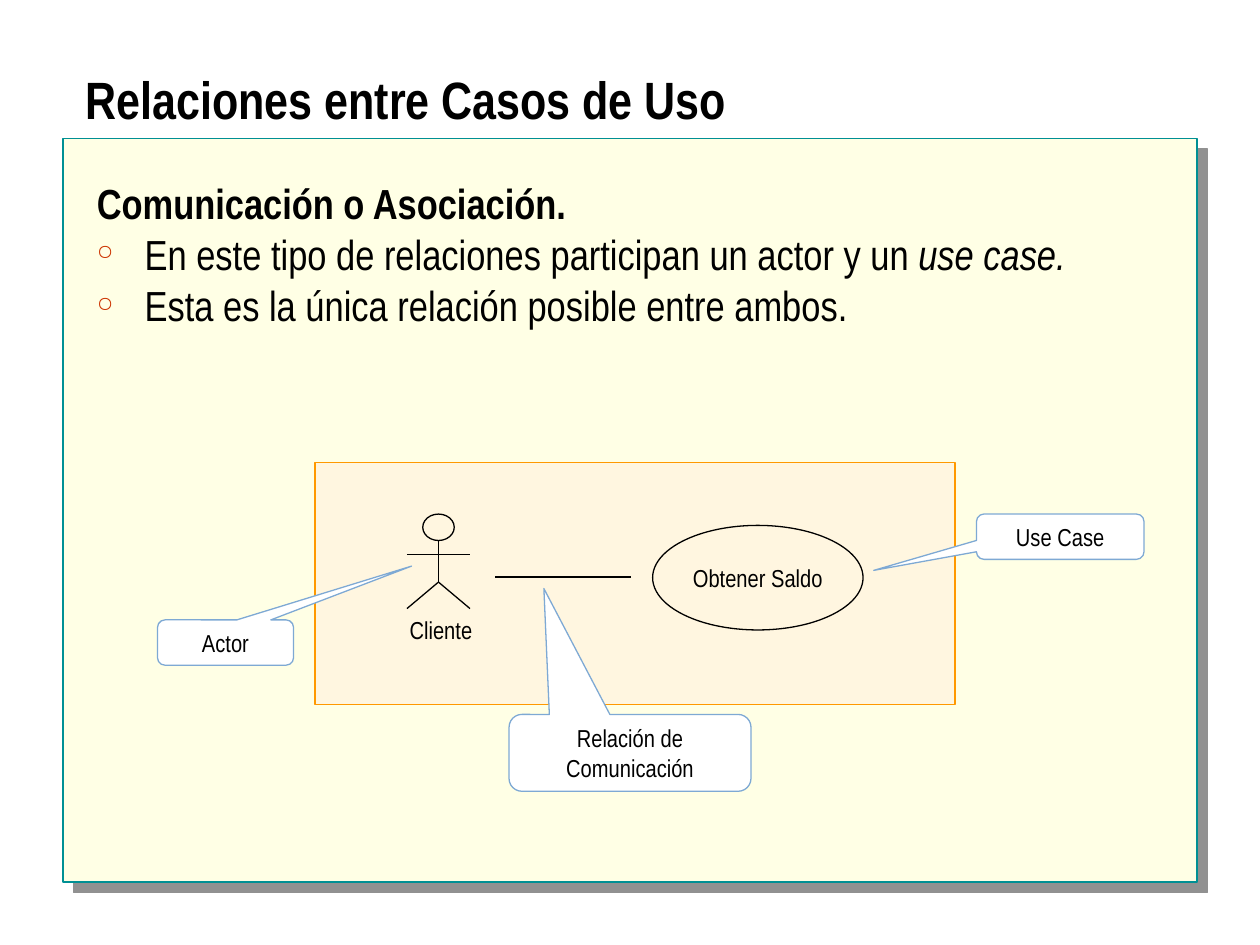
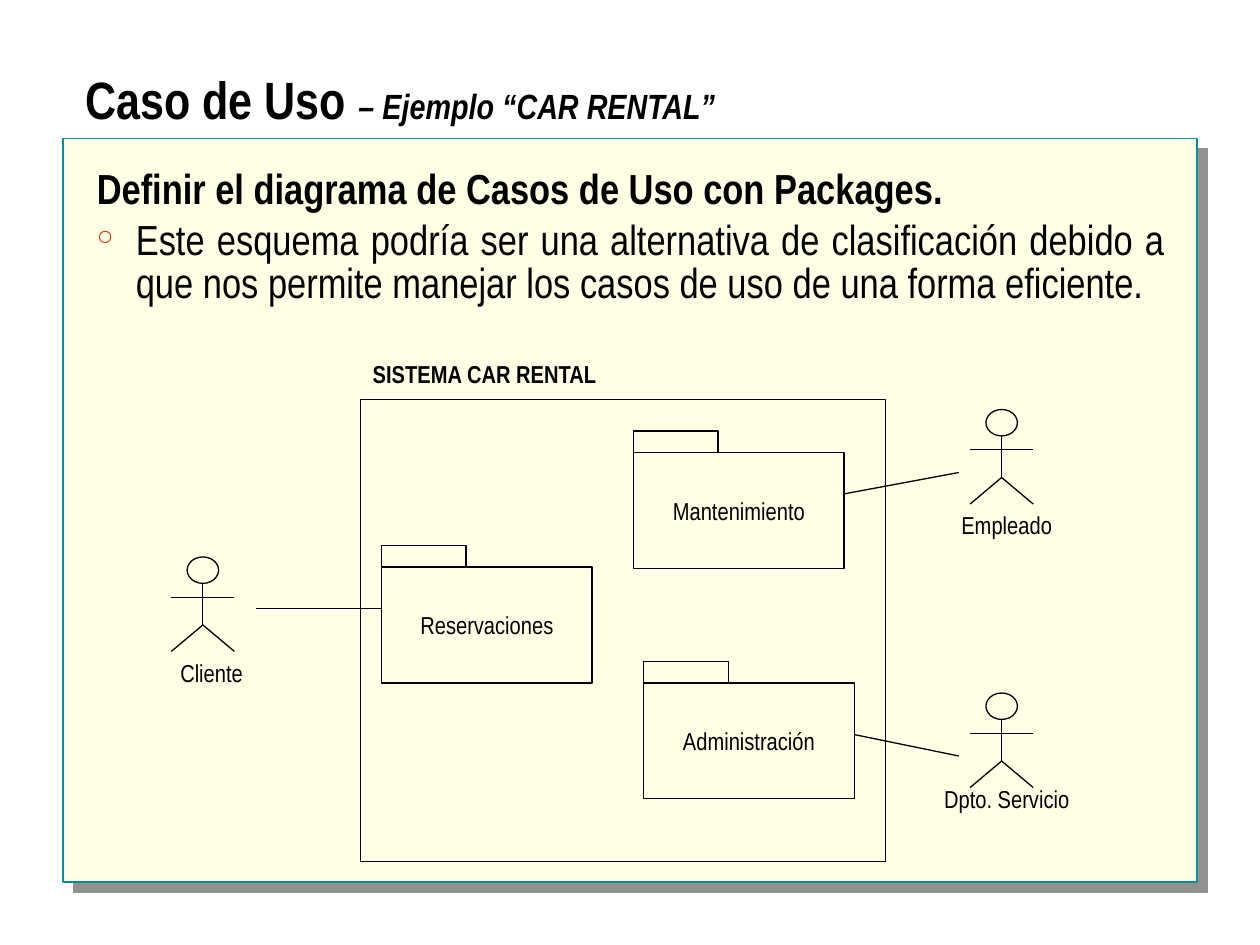
from dataclasses import dataclass

from lxml.etree import SubElement as Sub
from pptx import Presentation
from pptx.dml.color import RGBColor as RGB
from pptx.enum.shapes import MSO_CONNECTOR as CONN, MSO_SHAPE as SHAPE
from pptx.enum.text import MSO_ANCHOR as ANCHOR, MSO_AUTO_SIZE as AUTO, PP_ALIGN as ALIGN
from pptx.oxml.ns import qn
from pptx.util import Inches, Pt


@dataclass(frozen=True)
class Theme:
    font: str = "Arial Narrow"
    ink: str = "000000"
    panel: str = "FFFFE5"
    panel_line: str = "009094"
    shadow: str = "919191"
    bullet: str = "CC3300"
    scene: str = "FFEEDD"
    scene_line: str = "FF9900"
    callout: str = "FFFFFF"
    callout_line: str = "7EA9D4"
    title: int = 30
    subtitle: int = 20
    body: int = 24
    label: int = 14
    thin: float = 0.75


T = Theme()
TITLE_BOX = (0.58, 0.58, 8.83, 0.5)
PANEL_BOX = (0.5, 1.1, 9, 5.9)


def inches(*values):
    return [Inches(v) for v in values]


def apply(target, formats):
    for name, value in formats.items():
        setattr(target, name, value)


def add_run(p, text, size, **formats):
    r = p.add_run()
    r.text = text
    apply(r.font, {"name": T.font, "size": Pt(size), **formats})
    r.font.color.rgb = RGB.from_string(T.ink)


def write(tf, lines, align=ALIGN.CENTER, **formats):
    for i, line in enumerate(lines):
        p = tf.paragraphs[0] if i == 0 else tf.add_paragraph()
        p.alignment = align
        add_run(p, line, T.label, **formats)


def add_box(s, kind, box, fill=None, line=T.ink, width=T.thin):
    sp = s.shapes.add_shape(kind, *inches(*box))
    sp.shadow.inherit = False
    if fill:
        sp.fill.solid()
        sp.fill.fore_color.rgb = RGB.from_string(fill)
    else:
        sp.fill.background()
    sp.line.color.rgb = RGB.from_string(line)
    sp.line.width = Pt(width)
    return sp


def add_line(s, *ends):
    cn = s.shapes.add_connector(CONN.STRAIGHT, *inches(*ends))
    cn.line.color.rgb = RGB.from_string(T.ink)
    cn.line.width = Pt(T.thin)
    Sub(cn._element.spPr, qn("a:effectLst"))


def add_label(s, box, text, align=ALIGN.CENTER, **formats):
    tf = s.shapes.add_textbox(*inches(*box)).text_frame
    tf.word_wrap = False
    write(tf, [text], align, **formats)


def add_panel(s, box):
    sp = add_box(s, SHAPE.RECTANGLE, box, T.panel, T.panel_line, 1)
    effects = sp._element.spPr.find(qn("a:effectLst"))
    shadow = Sub(effects, qn("a:outerShdw"), blurRad="0", dist=str(Pt(8.5)),
                 dir="2700000", algn="ctr", rotWithShape="0")
    Sub(shadow, qn("a:srgbClr"), val=T.shadow)


def add_title(s, box, text, subtitle):
    sp = s.shapes.title
    apply(sp, dict(zip(("left", "top", "width", "height"), inches(*box))))
    tf = sp.text_frame
    apply(tf, {"vertical_anchor": ANCHOR.MIDDLE, "auto_size": AUTO.NONE, "word_wrap": True})
    p = tf.paragraphs[0]
    apply(p, {"alignment": ALIGN.LEFT, "line_spacing": 0.8})
    add_run(p, text, T.title, bold=True)
    if subtitle:
        add_run(p, subtitle, T.subtitle, bold=True, italic=True)


def add_bullet(pPr):
    Sub(Sub(pPr, qn("a:buClr")), qn("a:srgbClr"), val=T.bullet)
    Sub(pPr, qn("a:buSzPct"), val="50000")
    Sub(pPr, qn("a:buChar"), char="○")


def add_body(s, box, indent, heading, bullets):
    tf = s.shapes.add_textbox(*inches(*box)).text_frame
    tf.word_wrap = True
    for i, runs in enumerate([[(heading, {"bold": True})], *bullets]):
        p = tf.add_paragraph() if i else tf.paragraphs[0]
        apply(p, {"alignment": ALIGN.JUSTIFY, "line_spacing": 0.85, "space_after": Pt(4.8)})
        pPr = p._p.get_or_add_pPr()
        pPr.set("marL", str(Inches(indent)))
        pPr.set("indent", str(-Inches(indent)))
        if i:
            add_bullet(pPr)
        for text, formats in runs:
            add_run(p, text, T.body, **formats)


def add_actor(s, cx, y, name, label_width, label_dx=0.04, label_dy=0.75):
    arm, neck, hip, foot = 0.25, y + 0.21, y + 0.54, y + 0.75
    add_box(s, SHAPE.OVAL, (cx - arm / 2, y, arm, 0.21))
    add_line(s, cx, neck, cx, hip)
    add_line(s, cx - arm, y + 0.32, cx + arm, y + 0.32)
    for side in (-arm, arm):
        add_line(s, cx, hip, cx + side, foot)
    left = cx + label_dx - label_width / 2
    add_label(s, (left, y + label_dy, label_width, 0.33), name)


def add_node(s, kind, box, name):
    tf = add_box(s, kind, box).text_frame
    apply(tf, {"word_wrap": False, "vertical_anchor": ANCHOR.MIDDLE})
    write(tf, [name])


def add_package(s, x, y, name):
    tab = 0.17
    add_node(s, SHAPE.RECTANGLE, (x, y + tab, 1.67, 0.92), name)
    add_box(s, SHAPE.RECTANGLE, (x, y, 0.67, tab))


def add_callout(s, box, tip, lines):
    sp = add_box(s, SHAPE.ROUNDED_RECTANGULAR_CALLOUT, box, T.callout, T.callout_line)
    for i, value in enumerate((*tip, 0.167)):
        sp.adjustments[i] = value
    apply(sp.text_frame, {"word_wrap": True, "vertical_anchor": ANCHOR.MIDDLE})
    write(sp.text_frame, lines)


def add_communication(s, box):
    x, y, w, h = box
    scene = add_box(s, SHAPE.RECTANGLE, box, T.scene, T.scene_line)
    colour = scene._element.spPr.find(qn("a:solidFill")).find(qn("a:srgbClr"))
    Sub(colour, qn("a:alpha"), val="50000")
    add_node(s, SHAPE.OVAL, (x + 2.68, y + 0.5, 1.67, 0.83), "Obtener Saldo")
    add_actor(s, x + 0.98, y + 0.41, "Cliente", 0.7, 0.02)
    add_line(s, x + 1.43, y + 0.91, x + 2.51, y + 0.91)
    for dx, dy, cw, ch, tip, lines in (
        (5.25, 0.41, 1.33, 0.36, (-1.113, 0.743), ["Use Case"]),
        (1.54, 2, 1.92, 0.61, (-0.356, -2.138), ["Relación de", "Comunicación"]),
        (-1.25, 1.25, 1.08, 0.36, (1.367, -1.686), ["Actor"]),
    ):
        add_callout(s, (x + dx, y + dy, cw, ch), tip, lines)


def add_system(s, box):
    x, y, w, h = box
    add_box(s, SHAPE.RECTANGLE, box)
    add_label(s, (x, y - 0.37, 1.99, 0.33), "SISTEMA CAR RENTAL", ALIGN.LEFT, bold=True)
    for dx, dy, name in ((0.17, 1.16, "Reservaciones"),
                         (2.25, 2.08, "Administración"),
                         (2.17, 0.25, "Mantenimiento")):
        add_package(s, x + dx, y + dy, name)
    for dx, dy, *label in ((-1.25, 1.25, "Cliente", 0.7, 0.07),
                           (5.09, 0.08, "Empleado", 0.92),
                           (5.09, 2.33, "Dpto. Servicio", 1.25, 0.04, 0.67)):
        add_actor(s, x + dx, y + dy, *label)
    for x1, y1, x2, y2 in ((-0.83, 1.66, 0.17, 1.66),
                           (4.75, 0.58, 3.84, 0.75),
                           (4.75, 2.83, 3.92, 2.66)):
        add_line(s, x + x1, y + y1, x + x2, y + y2)


def add_slide(prs, title, subtitle=None):
    s = prs.slides.add_slide(prs.slide_layouts[5])
    add_panel(s, PANEL_BOX)
    add_title(s, TITLE_BOX, title, subtitle)
    return s


prs = Presentation()
prs.slide_width, prs.slide_height = inches(10, 7.5)

s = add_slide(prs, "Relaciones entre Casos de Uso")
add_communication(s, (2.5, 3.67, 5.08, 1.92))
add_body(s, (0.67, 1.42, 8.67, 1.28), 0.38, "Comunicación o Asociación.", [
    [("En este tipo de relaciones participan un actor y un ", {}),
     ("use case.", {"italic": True})],
    [("Esta es la única relación posible entre ambos.", {})],
])

s = add_slide(prs, "Caso de Uso ", "– Ejemplo “CAR RENTAL”")
add_body(s, (0.67, 1.3, 8.67, 1.2), 0.31, "Definir el diagrama de Casos de Uso con Packages.", [
    [("Este esquema podría ser una alternativa de clasificación debido a que nos "
      "permite manejar los casos de uso de una forma eficiente.", {})],
])
add_system(s, (2.86, 3.17, 4.17, 3.67))

prs.save("out.pptx")
